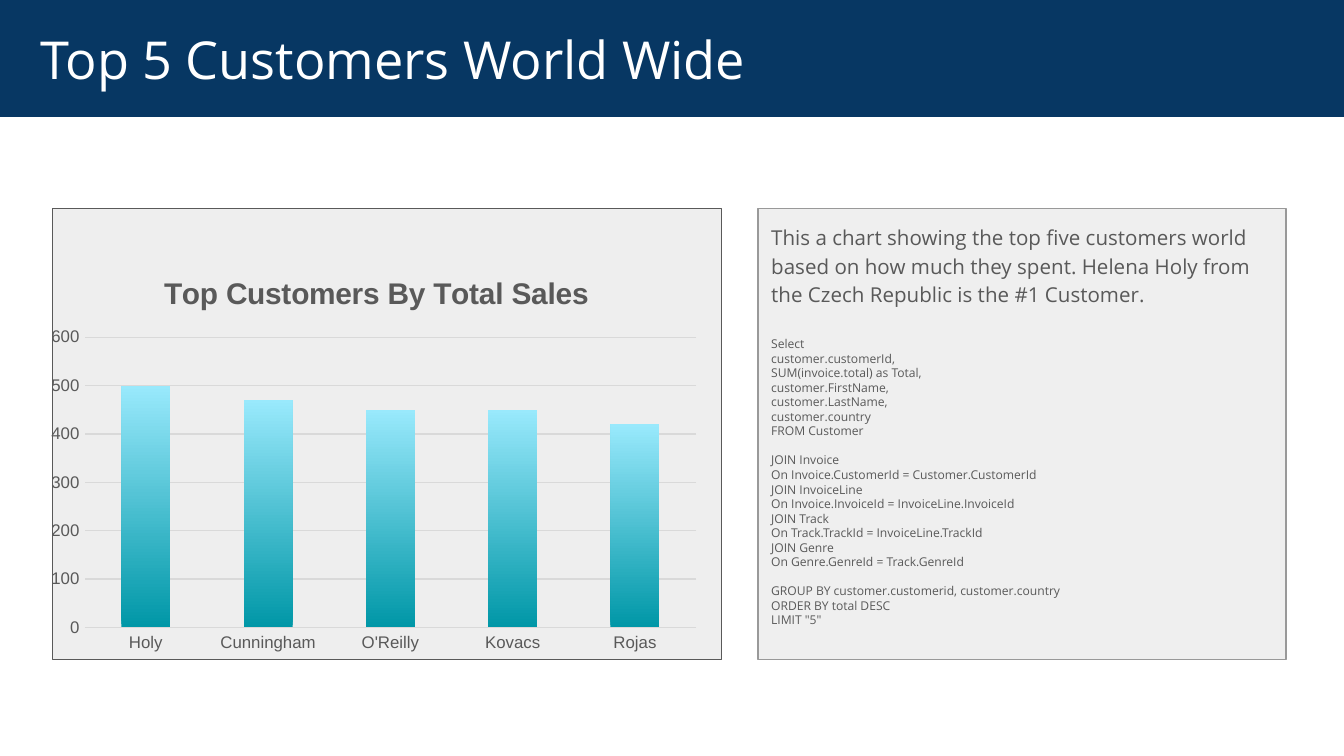
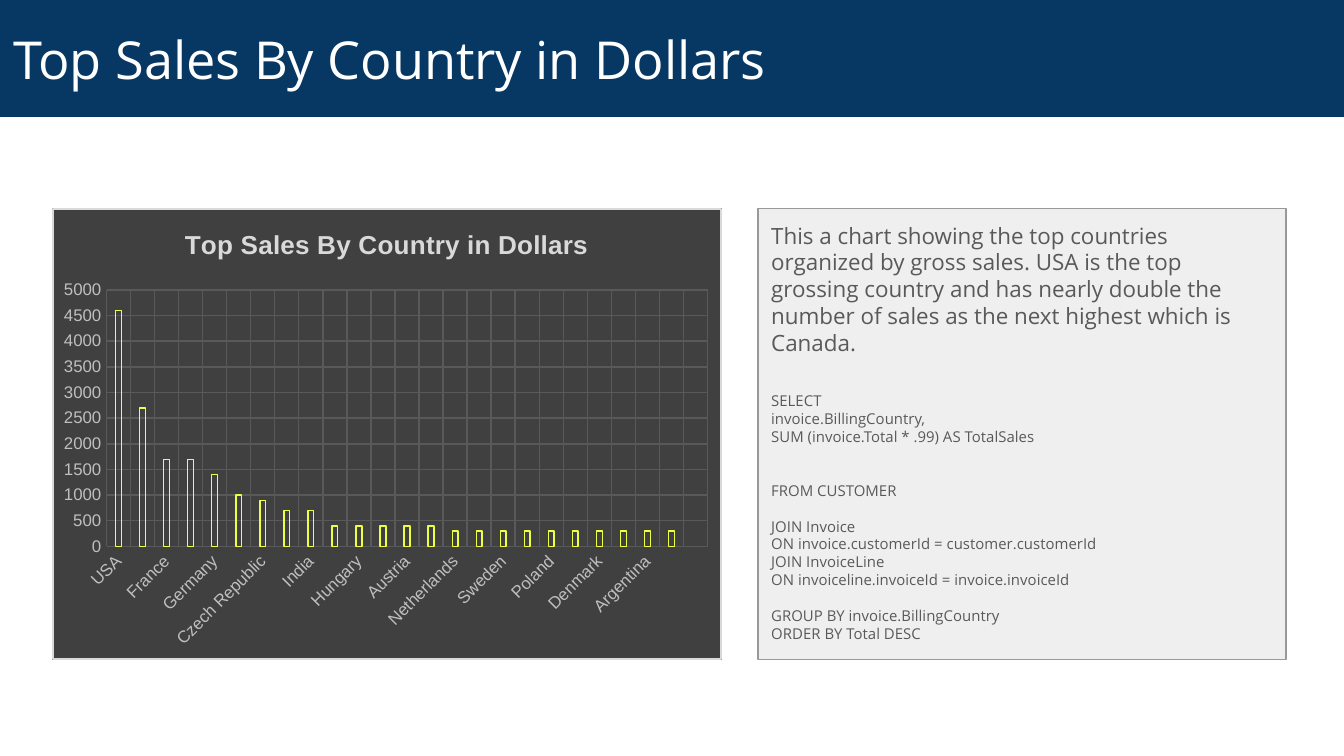
"""Build two sales slides, each with a chart and the query behind it."""
import pptx
import pptx.chart.data
import pptx.dml.color
import pptx.enum.chart
import pptx.enum.shapes
import pptx.enum.text
import pptx.oxml
import pptx.oxml.ns
import pptx.util

WIDTH, HEIGHT = pptx.util.Inches(10), pptx.util.Inches(5.625)
COLUMN, ROW = WIDTH / 100, HEIGHT / 60
COLORS = {
    "navy": "073763", "white": "FFFFFF", "text": "595959", "note": "EFEFEF",
    "note_edge": "999999", "panel": "EEEEEE", "grid": "D9D9D9", "dark": "404040",
    "dark_grid": "595959", "dark_label": "BFBFBF", "teal": "0097A7",
    "sky": "99E9FC", "yellow": "EEFF41",
}
TITLE_BOX = (0, 0, 100, 9.28)
CHART_BOX = (3.9, 16.53, 49.8, 35.84)
NOTE_BOX = (56.4, 16.53, 39.3, 35.84)

CUSTOMERS = {"Holy": 500, "Cunningham": 470, "O'Reilly": 450, "Kovacs": 450, "Rojas": 420}
COUNTRIES = [
    "USA", "Canada", "France", "Brazil", "Germany", "United Kingdom", "Czech Republic",
    "Portugal", "India", "Ireland", "Hungary", "Chile", "Austria", "Norway",
    "Netherlands", "Finland", "Sweden", "Belgium", "Poland", "Italy", "Denmark",
    "Australia", "Argentina", "Spain", "",
]
COUNTRY_SALES = [4600, 2700, 1700, 1700, 1400, 1000, 900, 700, 700] + [400] * 5 + [300] * 10 + [None]

CUSTOMER_QUERY = [
    (0, ["Select", "customer.customerId,", "SUM(invoice.total) as Total,",
         "customer.FirstName,", "customer.LastName,", "customer.country", "FROM Customer"]),
    (1, ["JOIN Invoice", "On Invoice.CustomerId = Customer.CustomerId",
         "JOIN InvoiceLine", "On Invoice.InvoiceId = InvoiceLine.InvoiceId",
         "JOIN Track", "On Track.TrackId = InvoiceLine.TrackId",
         "JOIN Genre", "On Genre.GenreId = Track.GenreId"]),
    (1, ["GROUP BY customer.customerid, customer.country", "ORDER BY total DESC", 'LIMIT "5"']),
]
COUNTRY_QUERY = [
    (2, ["SELECT", "invoice.BillingCountry,", "SUM (invoice.Total * .99) AS TotalSales"]),
    (2, ["FROM CUSTOMER"]),
    (1, ["JOIN Invoice", "ON invoice.customerId = customer.customerId",
         "JOIN InvoiceLine", "ON invoiceline.invoiceId = invoice.invoiceId"]),
    (1, ["GROUP BY invoice.BillingCountry", "ORDER BY Total DESC"]),
]


def rgb(name):
    """Return the named colour."""
    return pptx.dml.color.RGBColor.from_string(COLORS[name])


def place(box):
    """Turn a box in columns and rows into slide lengths."""
    left, top, width, height = box
    return round(left * COLUMN), round(top * ROW), round(width * COLUMN), round(height * ROW)


def style_font(font, size, color, face="Arial", bold=False):
    """Set the size, colour, face and weight of a font."""
    font.size = pptx.util.Pt(size)
    font.color.rgb = rgb(color)
    font.name = face
    font.bold = bold


def write(para, text, size, color="text", face="Open Sans", bold=False,
          spacing=1.0, before=0, after=0):
    """Write text into a paragraph with its format."""
    span = para.add_run()
    span.text = text
    style_font(span.font, size, color, face, bold)
    para.line_spacing = spacing
    para.space_before = pptx.util.Pt(before)
    para.space_after = pptx.util.Pt(after)


def style_line(line, color, width=0.75):
    """Set the colour and width of a line, or hide it."""
    if color is None:
        line.fill.background()
        return
    line.color.rgb = rgb(color)
    line.width = pptx.util.Pt(width)


def add_panel(page, box, fill, edge=None):
    """Add a flat rectangle ready for left-aligned text."""
    panel = page.shapes.add_shape(pptx.enum.shapes.MSO_SHAPE.RECTANGLE, *place(box))
    panel.shadow.inherit = False
    panel.fill.solid()
    panel.fill.fore_color.rgb = rgb(fill)
    style_line(panel.line, edge)
    frame = panel.text_frame
    frame.word_wrap = True
    frame.margin_left = frame.margin_right = round(COLUMN)
    frame.margin_top = frame.margin_bottom = round(COLUMN)
    frame.vertical_anchor = pptx.enum.text.MSO_ANCHOR.TOP
    frame.paragraphs[0].alignment = pptx.enum.text.PP_ALIGN.LEFT
    return panel


def add_title(page, text, inset=1):
    """Add the title band, its text set in by a number of columns."""
    frame = add_panel(page, TITLE_BOX, "navy").text_frame
    frame.margin_left = round(inset * COLUMN)
    frame.vertical_anchor = pptx.enum.text.MSO_ANCHOR.MIDDLE
    write(frame.paragraphs[0], text, 28, color="white")


def add_note(page, summary, summary_format, query, query_size):
    """Add the note panel with a summary above its query."""
    frame = add_panel(page, NOTE_BOX, "note", "note_edge").text_frame
    write(frame.paragraphs[0], summary, **summary_format)
    line_height = query_size * 1.2
    for gap, lines in query:
        for number, line in enumerate(lines):
            para = frame.add_paragraph()
            para.alignment = pptx.enum.text.PP_ALIGN.LEFT
            write(para, line, query_size, before=0 if number else gap * line_height)


def layout_xml(target="", **shares):
    """Return a manual chart layout given as shares of the chart."""
    inner = f'<c:layoutTarget val="{target}"/>' if target else ""
    inner += "".join(f'<c:{side}Mode val="edge"/>' for side in "xy")
    inner += "".join(f'<c:{side} val="{share}"/>' for side, share in shares.items())
    return pptx.oxml.parse_xml(
        f'<c:layout {pptx.oxml.ns.nsdecls("c")}><c:manualLayout>{inner}</c:manualLayout></c:layout>')


def set_layout(chart, title_left, plot):
    """Fix the places of the chart title and the plot area."""
    title = chart.element.xpath("c:chart/c:title")[0]
    area = chart.element.xpath("c:chart/c:plotArea")[0]
    for parent in (title, area):
        for old in parent.xpath("c:layout"):
            parent.remove(old)
    title.xpath("c:tx")[0].addnext(layout_xml(x=title_left, y=0.03))
    area.insert(0, layout_xml("inner", **dict(zip("xywh", plot))))


def set_background(chart, fill, edge):
    """Fill and outline the whole chart, or leave it clear."""
    paint, border = (
        f'<a:solidFill><a:srgbClr val="{COLORS[name]}"/></a:solidFill>' if name else "<a:noFill/>"
        for name in (fill, edge))
    chart.element.xpath("c:chart")[0].addnext(pptx.oxml.parse_xml(
        f'<c:spPr {pptx.oxml.ns.nsdecls("c", "a")}>{paint}<a:ln w="9525">{border}</a:ln></c:spPr>'))


def style_axis(axis, label, line, grid):
    """Set the labels, line and gridlines of an axis."""
    axis.major_tick_mark = axis.minor_tick_mark = pptx.enum.chart.XL_TICK_MARK.NONE
    style_font(axis.tick_labels.font, 9, label)
    style_line(axis.format.line, line, 1)
    axis.has_major_gridlines = grid is not None
    if grid:
        style_line(axis.major_gridlines.format.line, grid)


def add_columns(page, box, title, title_size, title_color, labels, values, top, step,
                gap, overlap, label_color, axis_line, category_grid, value_grid):
    """Add a column chart with one series and a title."""
    data = pptx.chart.data.CategoryChartData()
    data.categories = labels
    data.add_series("Series 1", values)
    kind = pptx.enum.chart.XL_CHART_TYPE.COLUMN_CLUSTERED
    chart = page.shapes.add_chart(kind, *place(box), data).chart
    chart.has_legend = False
    style_font(chart.font, 10, "text")
    chart.has_title = True
    write(chart.chart_title.text_frame.paragraphs[0], title, title_size,
          color=title_color, face="Arial", bold=True)
    chart.chart_title.include_in_layout = False
    style_axis(chart.category_axis, label_color, axis_line, category_grid)
    style_axis(chart.value_axis, label_color, None, value_grid)
    chart.value_axis.minimum_scale = 0
    chart.value_axis.maximum_scale = top
    chart.value_axis.major_unit = step
    bars = chart.plots[0]
    bars.vary_by_categories = False
    bars.gap_width, bars.overlap = gap, overlap
    return chart


def add_customer_chart(page, box):
    """Add the gradient customer chart over its panel."""
    add_panel(page, box, "panel", "text")
    left, top = box[:2]
    chart = add_columns(
        page, (left - 1.1, top + 3.84, 50, 32), "Top Customers By Total Sales", 16, "text",
        list(CUSTOMERS), list(CUSTOMERS.values()), top=600, step=100, gap=150, overlap=0,
        label_color="text", axis_line="grid", category_grid=None, value_grid="grid")
    fill = chart.plots[0].series[0].format.fill
    fill.gradient()
    fill.gradient_angle = 90
    for stop, color in zip(fill.gradient_stops, ("teal", "sky")):
        stop.color.rgb = rgb(color)
    set_layout(chart, 0.18, (0.07, 0.2, 0.91, 0.72))
    set_background(chart, None, None)


def add_country_chart(page, box):
    """Add the dark country chart with outlined columns."""
    add_panel(page, box, "panel", "text")
    chart = add_columns(
        page, box, "Top Sales By Country in Dollars", 14, "grid",
        COUNTRIES, COUNTRY_SALES, top=5000, step=500, gap=315, overlap=-40,
        label_color="dark_label", axis_line=None, category_grid="dark_grid",
        value_grid="dark_grid")
    columns = chart.plots[0].series[0].format
    columns.fill.background()
    style_line(columns.line, "yellow")
    chart.element.xpath(".//c:catAx/c:txPr/a:bodyPr")[0].set("rot", "-2700000")
    set_layout(chart, 0.19, (0.08, 0.18, 0.9, 0.57))
    set_background(chart, "dark", "grid")


def build_customers(page):
    """Build the slide on the top customers."""
    add_note(page, "This a chart showing the top five customers world based on how much they "
             "spent. Helena Holy from the Czech Republic is the #1 Customer.",
             {"size": 11, "spacing": 1.15, "after": 16}, CUSTOMER_QUERY, 6.5)
    add_title(page, "Top 5 Customers World Wide", inset=3)
    add_customer_chart(page, CHART_BOX)


def build_countries(page):
    """Build the slide on sales by country."""
    add_note(page, "This a chart showing the top countries organized by gross sales. USA is the "
             "top grossing country and has nearly double the number of sales as the next "
             "highest which is Canada.", {"size": 12}, COUNTRY_QUERY, 8)
    add_title(page, "Top Sales By Country in Dollars")
    add_country_chart(page, CHART_BOX)


def main():
    """Build the deck and save it."""
    deck = pptx.Presentation()
    deck.slide_width, deck.slide_height = WIDTH, HEIGHT
    for build in (build_customers, build_countries):
        build(deck.slides.add_slide(deck.slide_layouts[6]))
    deck.save("out.pptx")


if __name__ == "__main__":
    main()
